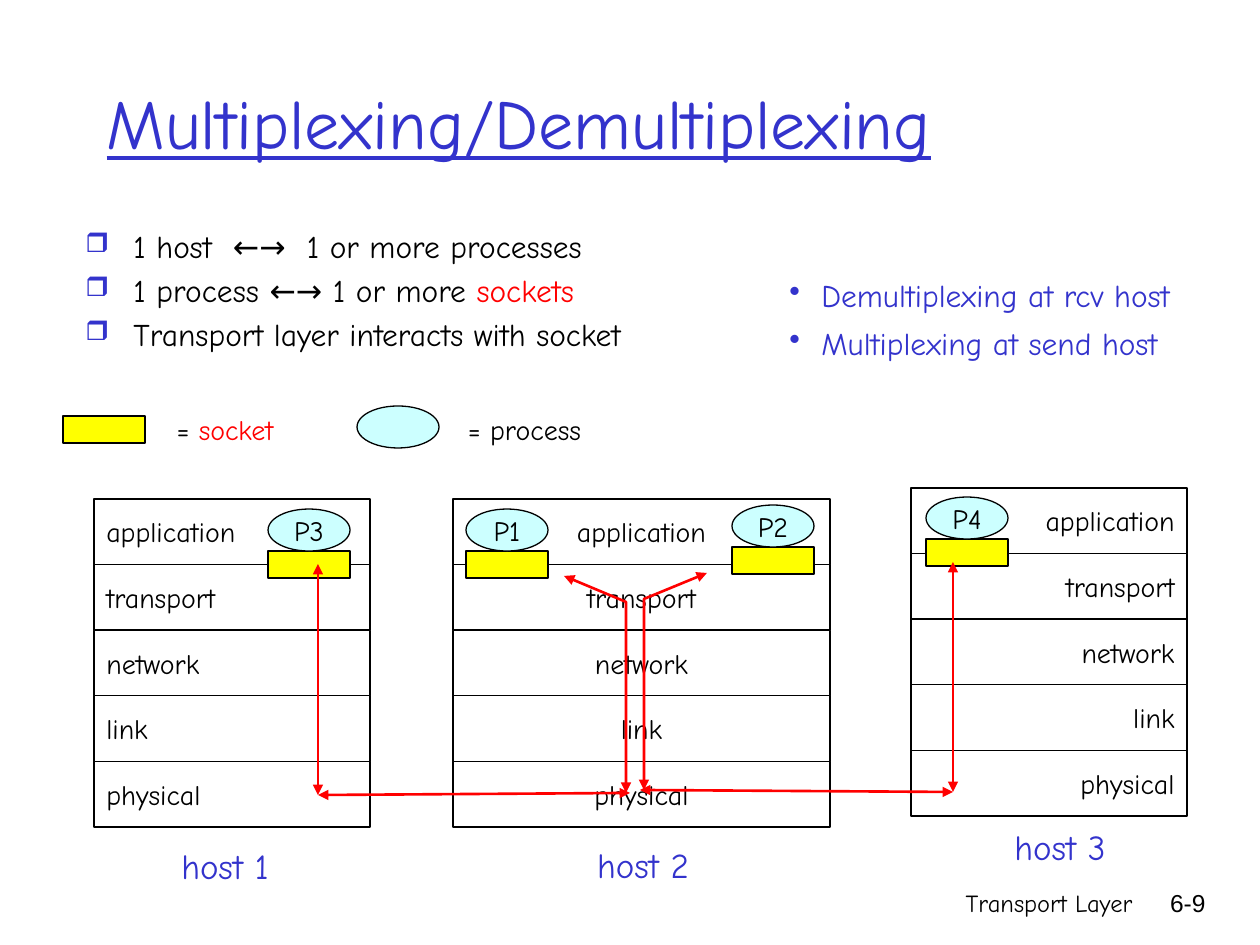
import dataclasses

import lxml.etree
import pptx
import pptx.dml.color
import pptx.enum.shapes
import pptx.enum.text
import pptx.oxml.ns
import pptx.util

SCALE = 914400 / 126
SHAPE = pptx.enum.shapes.MSO_SHAPE
ALIGN = pptx.enum.text.PP_ALIGN
ANCHOR = pptx.enum.text.MSO_ANCHOR
LAYERS = ["application", "transport", "network", "link", "physical"]
ICON = 82
OVAL = 42
SOCKET = 27


@dataclasses.dataclass(frozen=True)
class Theme:
    font: str = "Comic Neue"
    plain: str = "Arial"
    ink: str = "000000"
    paper: str = "FFFFFF"
    blue: str = "3333CC"
    red: str = "FF0000"
    gold: str = "FFFF00"
    cyan: str = "CCFFFF"
    title: int = 40
    host: int = 20
    body: int = 18
    label: int = 16
    foot: int = 14
    edge: float = 0.75
    flow: float = 1.5


THEME = Theme()


def px(n):
    return pptx.util.Emu(round(n * SCALE))


def rgb(code):
    return pptx.dml.color.RGBColor.from_string(code)


def add_node(parent, tag, **attrs):
    node = lxml.etree.SubElement(parent, pptx.oxml.ns.qn(tag))
    for name, value in attrs.items():
        node.set(name, value)
    return node


def add_bullet(para, char, indent, size):
    props = para._p.get_or_add_pPr()
    props.set("marL", str(px(indent)))
    props.set("indent", str(-px(indent)))
    add_node(add_node(props, "a:buClr"), "a:srgbClr", val=THEME.blue)
    add_node(props, "a:buSzPct", val=str(size * 1000))
    add_node(props, "a:buChar", char=char)


def write(shape, *lines, size=THEME.label, color=THEME.ink, font=THEME.font,
          align=ALIGN.LEFT, anchor=ANCHOR.TOP, line=None, underline=None,
          bullet=None, before=0, spacing=None, inset=None):
    frame = shape.text_frame
    frame.word_wrap = True
    frame.auto_size = pptx.enum.text.MSO_AUTO_SIZE.NONE
    frame.vertical_anchor = anchor
    if inset is not None:
        frame.margin_left = frame.margin_right = px(inset)
        frame.margin_top = frame.margin_bottom = px(inset)
    for i, parts in enumerate(lines):
        para = frame.add_paragraph() if i else frame.paragraphs[0]
        if bullet:
            add_bullet(para, *bullet)
        para.alignment = align
        para.space_before = pptx.util.Pt(before if i else 0)
        if spacing:
            para.line_spacing = spacing
        for part in [parts] if isinstance(parts, str) else parts:
            words, tint = (part, color) if isinstance(part, str) else part
            run = para.add_run()
            run.text = words
            run.font.name = font
            run.font.size = pptx.util.Pt(size)
            run.font.underline = underline
            run.font.color.rgb = rgb(tint)


def add_text(slide, box, *lines, **style):
    write(slide.shapes.add_textbox(*map(px, box)), *lines, **style)


def add_block(slide, kind, box, fill, *lines, **style):
    shape = slide.shapes.add_shape(kind, *map(px, box))
    shape.shadow.inherit = False
    shape.fill.solid()
    shape.fill.fore_color.rgb = rgb(fill)
    shape.line.color.rgb = rgb(THEME.ink)
    shape.line.width = pptx.util.Pt(THEME.edge)
    if lines:
        write(shape, *lines, anchor=ANCHOR.MIDDLE, **style)


def add_socket(slide, x, y):
    add_block(slide, SHAPE.RECTANGLE, (x, y, ICON, SOCKET), THEME.gold)


def add_oval(slide, x, y, *name):
    add_block(slide, SHAPE.OVAL, (x, y, ICON, OVAL), THEME.cyan, *name,
              align=ALIGN.CENTER, inset=0)


def add_title(slide, box, words):
    title = slide.shapes.title
    title.left, title.top, title.width, title.height = map(px, box)
    write(title, words, size=THEME.title, color=THEME.blue,
          underline=True, anchor=ANCHOR.MIDDLE)


def add_legend(slide, x, y):
    add_socket(slide, x, y + 10)
    add_text(slide, (x + 95, y, 134, 47), ["= ", ("socket", THEME.red)],
             align=ALIGN.CENTER)
    add_oval(slide, x + 294, y)
    add_text(slide, (x + 388, y, 147, 47), "= process", align=ALIGN.CENTER)


def add_host(slide, box, name, label, align, tasks):
    x, y, w, h = box
    step = h / len(LAYERS)
    for i, layer in enumerate(LAYERS):
        add_block(slide, SHAPE.RECTANGLE, (x, y + i * step, w, step),
                  THEME.paper, layer, align=align)
    for task, dx, dy in tasks:
        add_socket(slide, x + dx, y + dy + OVAL)
        add_oval(slide, x + dx, y + dy, task)
    dx, dy = label
    add_text(slide, (x + dx, y + dy, 130, 54), name, size=THEME.host,
             color=THEME.blue, align=ALIGN.CENTER)


def add_flow(slide, *points):
    spots = [(px(x), px(y)) for x, y in points]
    if len(spots) == 2:
        kind = pptx.enum.shapes.MSO_CONNECTOR.STRAIGHT
        flow = slide.shapes.add_connector(kind, *spots[0], *spots[1])
        add_node(flow._element.spPr, "a:effectLst")
    else:
        path = slide.shapes.build_freeform(*spots[0])
        path.add_line_segments(spots[1:], close=False)
        flow = path.convert_to_shape()
        flow.shadow.inherit = False
        flow.fill.background()
    flow.line.color.rgb = rgb(THEME.red)
    flow.line.width = pptx.util.Pt(THEME.flow)
    edge = flow.line._get_or_add_ln()
    add_node(edge, "a:headEnd", type="triangle")
    add_node(edge, "a:tailEnd", type="triangle")


def add_footer(slide, y):
    add_text(slide, (746, y, 399, 63), "Transport Layer",
             size=THEME.foot, align=ALIGN.RIGHT)
    add_text(slide, (1125, y, 93, 63), "6-9", size=THEME.foot,
             font=THEME.plain, align=ALIGN.RIGHT)


def main():
    deck = pptx.Presentation()
    deck.slide_width, deck.slide_height = px(1260), px(945)
    slide = deck.slides.add_slide(deck.slide_layouts[5])
    add_footer(slide, 882)
    add_title(slide, (94, 42, 1071, 158), "Multiplexing/Demultiplexing")
    add_legend(slide, 63, 406)
    add_text(slide, (73, 221, 1050, 147),
             "1 host  ←→  1 or more processes",
             ["1 process ←→ 1 or more ", ("sockets", THEME.red)],
             "Transport layer interacts with socket",
             size=THEME.body, bullet=("❒", 48, 85), before=3.6)
    add_text(slide, (777, 262, 444, 107),
             "Demultiplexing at rcv host", "Multiplexing at send host",
             size=THEME.body, color=THEME.blue, bullet=("•", 32, 100),
             before=1.8, spacing=1.2)
    add_host(slide, (94, 499, 276, 328), "host 1", (66, 339),
             ALIGN.LEFT, [("P3", 174, 10)])
    add_host(slide, (911, 488, 276, 328), "host 3", (84, 331),
             ALIGN.RIGHT, [("P4", 15, 9)])
    add_host(slide, (453, 499, 377, 328), "host 2", (125, 338),
             ALIGN.CENTER, [("P1", 13, 10), ("P2", 279, 6)])
    add_flow(slide, (318, 564), (318, 795))
    add_flow(slide, (626, 793), (626, 602), (564, 576))
    add_flow(slide, (318, 795), (630, 793))
    add_flow(slide, (953, 562), (953, 792))
    add_flow(slide, (644, 790), (644, 599), (707, 573))
    add_flow(slide, (953, 792), (640, 790))
    deck.save("out.pptx")


if __name__ == "__main__":
    main()
